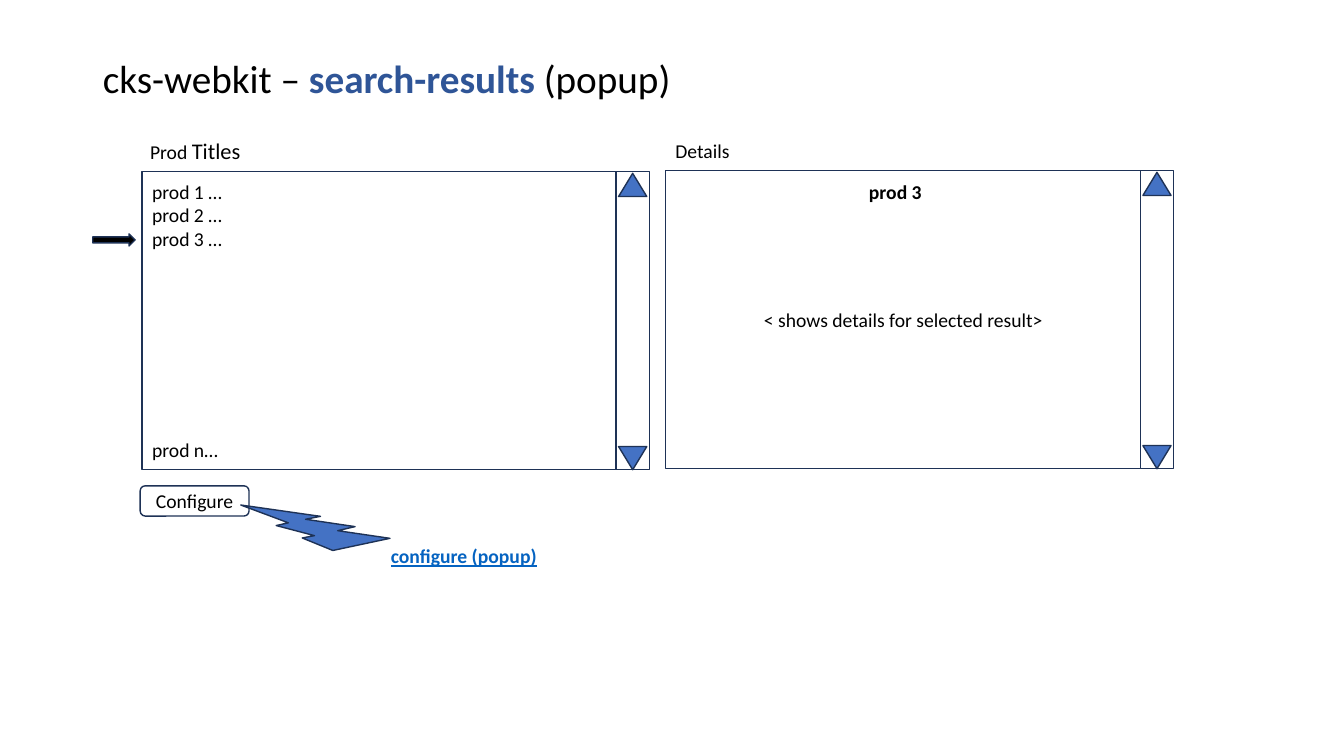
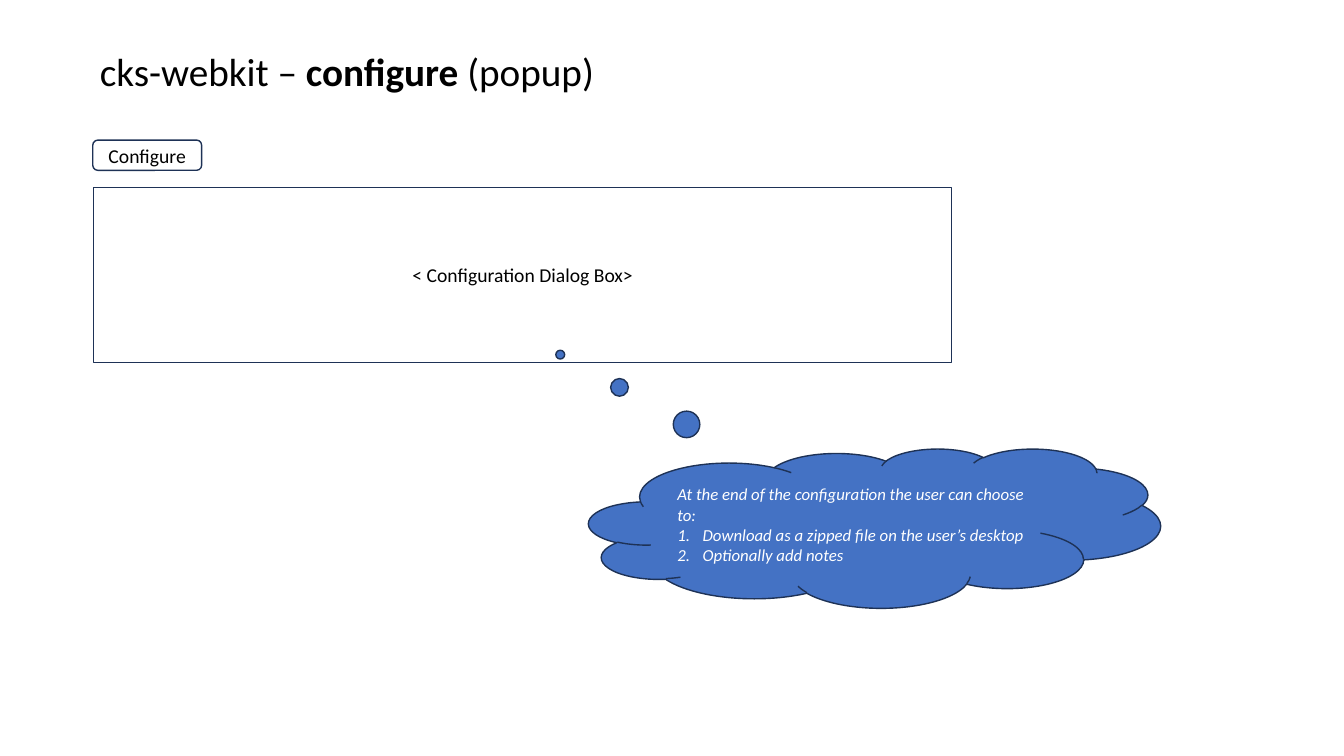
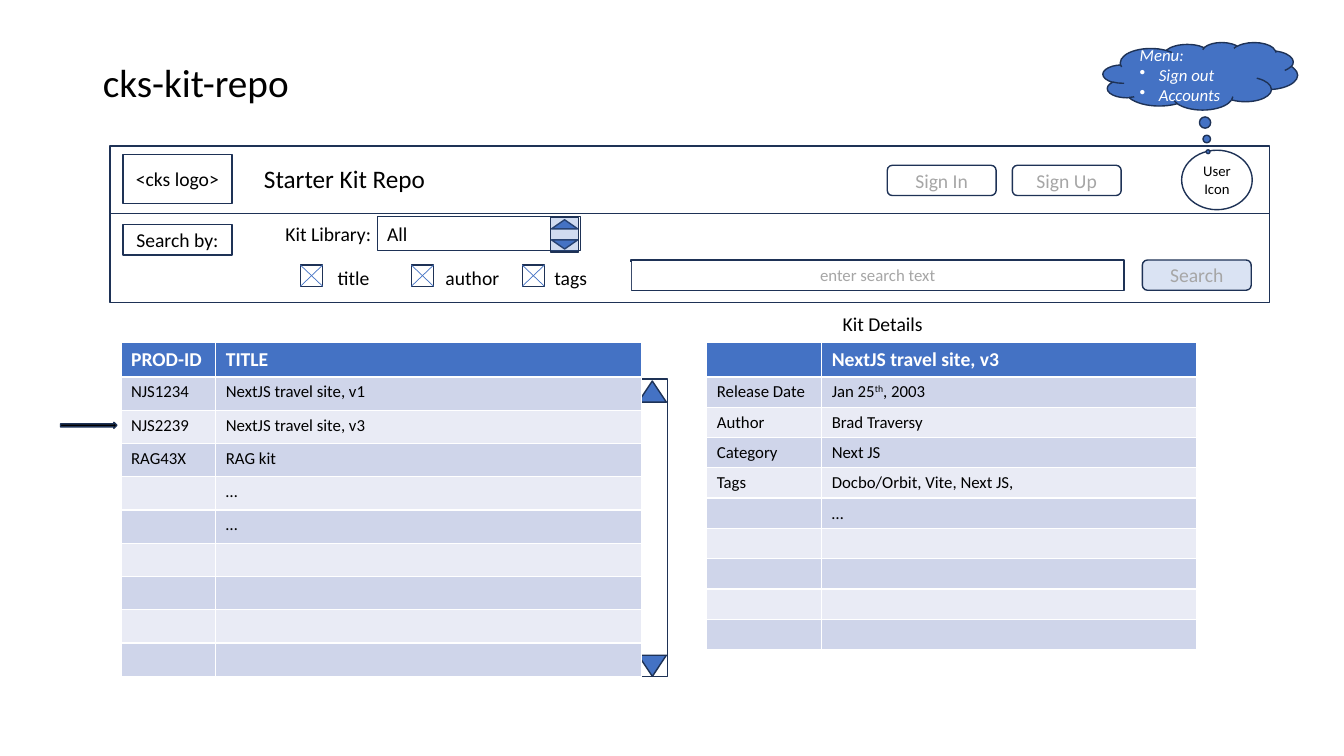
from dataclasses import dataclass

from lxml import etree
from pptx import Presentation
from pptx.dml.color import RGBColor
from pptx.enum.shapes import MSO_CONNECTOR, MSO_SHAPE
from pptx.enum.text import MSO_ANCHOR, MSO_AUTO_SIZE, PP_ALIGN
from pptx.oxml.ns import qn
from pptx.util import Inches, Pt

RECT = MSO_SHAPE.RECTANGLE
ROUND = MSO_SHAPE.ROUNDED_RECTANGLE
OVAL = MSO_SHAPE.OVAL
TRIANGLE = MSO_SHAPE.ISOSCELES_TRIANGLE
ARROW = MSO_SHAPE.RIGHT_ARROW
BOLT = MSO_SHAPE.LIGHTNING_BOLT
CLOUD = MSO_SHAPE.CLOUD_CALLOUT
STRAIGHT = MSO_CONNECTOR.STRAIGHT
LEFT, CENTER, RIGHT = PP_ALIGN.LEFT, PP_ALIGN.CENTER, PP_ALIGN.RIGHT
TOP, MIDDLE = MSO_ANCHOR.TOP, MSO_ANCHOR.MIDDLE

FONT = "Calibri"
TITLE_LAYOUT = 5
COLORS = {
    "white": "FFFFFF",
    "black": "000000",
    "grey": "A6A6A6",
    "navy": "1E3256",
    "blue": "4472C4",
    "pale": "DAE3F3",
    "title": "2F5597",
    "link": "0563C1",
    "band_dark": "CFD5EA",
    "band_light": "E9EBF5",
}


@dataclass(frozen=True)
class Span:
    """A stretch of text that may differ from its paragraph."""
    text: str
    color: str | None = None
    bold: bool | None = None
    size: float | None = None
    superscript: bool = False


@dataclass(frozen=True)
class Style:
    size: float = 14
    color: str = "black"
    bold: bool = False
    italic: bool = False
    underline: bool = False
    align: PP_ALIGN = CENTER


@dataclass(frozen=True)
class Box:
    """A shape with optional text; each paragraph is a string or spans."""
    left: float
    top: float
    width: float
    height: float
    paras: tuple = ()
    kind: MSO_SHAPE = RECT
    fill: str | None = "white"
    line: str | None = "navy"
    line_width: float = 1
    style: Style = Style()
    anchor: MSO_ANCHOR = MIDDLE
    rotation: float = 0
    adjust: tuple[float, ...] = ()


BODY = Style(align=LEFT)
MUTED = Style(color="grey")
THOUGHT = Style(size=12, color="white", italic=True, align=LEFT)


def rgb(name: str) -> RGBColor:
    return RGBColor.from_string(COLORS[name])


# Text
def write_para(para, content, style: Style) -> None:
    para.alignment = style.align
    font = para.font
    font.name, font.size = FONT, Pt(style.size)
    font.bold, font.italic, font.underline = style.bold, style.italic, style.underline
    font.color.rgb = rgb(style.color)
    for span in (Span(content),) if isinstance(content, str) else content:
        run = para.add_run()
        run.text = span.text
        if span.color:
            run.font.color.rgb = rgb(span.color)
        if span.bold is not None:
            run.font.bold = span.bold
        if span.size:
            run.font.size = Pt(span.size)
        if span.superscript:
            run._r.get_or_add_rPr().set("baseline", "30000")


def write_frame(frame, paras: tuple, style: Style, anchor: MSO_ANCHOR) -> None:
    frame.word_wrap = True
    frame.vertical_anchor = anchor
    for number, content in enumerate(paras):
        para = frame.add_paragraph() if number else frame.paragraphs[0]
        write_para(para, content, style)


def set_bullets(paras, indent: float, tag: str, **attributes: str) -> None:
    for para in paras:
        props = para._p.get_or_add_pPr()
        props.set("marL", str(Inches(indent)))
        props.set("indent", str(-Inches(indent)))
        bullet = etree.Element(qn(tag), attributes)
        props.insert_element_before(bullet, "a:tabLst", "a:defRPr", "a:extLst")


# Shapes
def draw_box(shapes, box: Box):
    shape = shapes.add_shape(box.kind, Inches(box.left), Inches(box.top),
                             Inches(box.width), Inches(box.height))
    shape.shadow.inherit = False
    shape.rotation = box.rotation
    for number, value in enumerate(box.adjust):
        shape.adjustments[number] = value
    if box.fill:
        shape.fill.solid()
        shape.fill.fore_color.rgb = rgb(box.fill)
    else:
        shape.fill.background()
    if box.line:
        shape.line.color.rgb = rgb(box.line)
        shape.line.width = Pt(box.line_width)
    else:
        shape.line.fill.background()
    write_frame(shape.text_frame, box.paras, box.style, box.anchor)
    return shape


def draw_label(shapes, left: float, top: float, width: float, content,
               style: Style = BODY) -> None:
    draw_box(shapes, Box(left, top, width, 0.3, (content,), line=None, style=style))


def draw_button(shapes, left: float, top: float, text: str,
                style: Style = Style(), fill: str = "white") -> None:
    draw_box(shapes, Box(left, top, 1.08, 0.3, (text,), ROUND, fill, style=style))


def draw_text(shapes, left: float, top: float, width: float, height: float,
              text: str, style: Style) -> None:
    area = shapes.add_textbox(Inches(left), Inches(top), Inches(width), Inches(height))
    write_frame(area.text_frame, (text,), style, TOP)


def draw_scroll_bar(page, left: float, top: float, width: float, height: float,
                    arrow_height: float) -> None:
    shapes = page.shapes.add_group_shape().shapes
    draw_box(shapes, Box(left, top, width, height))
    arrow_width = 0.28
    arrow_left = left + (width - arrow_width) / 2
    for arrow_top, turn in ((top + 0.02, 0), (top + height - arrow_height, 180)):
        draw_box(shapes, Box(arrow_left, arrow_top, arrow_width, arrow_height,
                             kind=TRIANGLE, fill="blue", rotation=turn))


def draw_check_box(page, left: float, top: float) -> None:
    shapes = page.shapes.add_group_shape().shapes
    width, height = 0.22, 0.21
    draw_box(shapes, Box(left, top, width, height))
    right, bottom = left + width, top + height
    for start, end in ((left, right), (right, left)):
        stroke = shapes.add_connector(STRAIGHT, Inches(start), Inches(top),
                                      Inches(end), Inches(bottom))
        stroke.line.color.rgb = rgb("blue")
        stroke.line.width = Pt(0.5)
        etree.SubElement(stroke._element.spPr, qn("a:effectLst"))


# Tables
def draw_table(page, left: float, top: float, widths: tuple[float, ...],
               row_height: float, rows: tuple) -> None:
    heights = [0.34] + [row_height] * (len(rows) - 1)
    table = page.shapes.add_table(len(rows), len(widths), Inches(left), Inches(top),
                                  Inches(sum(widths)), Inches(sum(heights))).table
    for column, width in zip(table.columns, widths):
        column.width = Inches(width)
    for number, (row, height, contents) in enumerate(zip(table.rows, heights, rows)):
        row.height = Inches(height)
        if number == 0:
            fill, style = "blue", Style(color="white", bold=True, align=LEFT)
        else:
            fill = "band_dark" if number % 2 else "band_light"
            style = Style(size=12, align=LEFT)
        for cell, content in zip(row.cells, contents):
            cell.fill.solid()
            cell.fill.fore_color.rgb = rgb(fill)
            para = cell.text_frame.paragraphs[0]
            write_para(para, content or (), style)
            if not content:
                # Keeps an empty cell as low as a filled one
                etree.SubElement(para._p, qn("a:endParaRPr"), sz=str(style.size * 100))


# Pages
def add_page(deck, left: float, top: float, *spans: Span):
    page = deck.slides.add_slide(deck.slide_layouts[TITLE_LAYOUT])
    title = page.shapes.title
    title.left, title.top = Inches(left), Inches(top)
    title.width, title.height = Inches(11.5), Inches(0.8)
    write_frame(title.text_frame, (spans,), Style(size=28, align=LEFT), MIDDLE)
    title.text_frame.auto_size = MSO_AUTO_SIZE.NONE
    title.text_frame.paragraphs[0].line_spacing = 0.9
    return page


def build_search_results(deck) -> None:
    page = add_page(deck, 0.92, 0.4, Span("cks-webkit – "),
                    Span("search-results", "title", True), Span(" (popup)"))
    shapes = page.shapes

    # Result list
    results = draw_box(shapes, Box(
        1.41, 1.7, 4.72, 2.96, ("prod 1 …", "prod 2 …", "prod 3 …", "prod n…"),
        style=BODY))
    results.text_frame.paragraphs[-1].space_before = Pt(134)
    draw_scroll_bar(page, 6.11, 1.7, 0.33, 2.96, 0.23)
    draw_label(shapes, 1.39, 1.34, 2.34, (Span("Prod "), Span("Titles", size=16)))

    # Details of the selected result
    draw_box(shapes, Box(6.6, 1.69, 4.72, 2.96,
                         ("< shows details for selected result>",)))
    draw_scroll_bar(page, 11.31, 1.69, 0.33, 2.96, 0.23)
    draw_label(shapes, 6.6, 1.34, 1.78, "Details")
    draw_box(shapes, Box(0.92, 2.32, 0.42, 0.12, kind=ARROW, fill="black"))
    draw_label(shapes, 7.99, 1.75, 1.78, "prod 3", Style(bold=True))

    # Way to the next popup
    draw_button(shapes, 1.39, 4.82, "Configure")
    draw_box(shapes, Box(2.4, 4.97, 1.46, 0.5, kind=BOLT, fill="blue", rotation=176.9))
    draw_text(shapes, 3.43, 5.35, 2.34, 0.34, "configure (popup)",
              Style(color="link", bold=True, underline=True))


def build_configure(deck) -> None:
    page = add_page(deck, 0.89, 0.33, Span("cks-webkit – "),
                    Span("configure", bold=True), Span(" (popup)"))
    shapes = page.shapes
    draw_button(shapes, 0.92, 1.39, "Configure")
    draw_box(shapes, Box(0.93, 1.86, 8.51, 1.74, ("< Configuration Dialog Box>",)))
    cloud = draw_box(shapes, Box(
        5.84, 4.45, 5.67, 1.58,
        ("At the end of the configuration the user can choose to:",
         "Download as a zipped file on the user’s desktop",
         "Optionally add notes"),
        CLOUD, "blue", style=THOUGHT, adjust=(-0.55, -1.09)))
    set_bullets(cloud.text_frame.paragraphs[1:], 0.25, "a:buAutoNum",
                type="arabicPeriod")


def build_kit_repo(deck) -> None:
    page = add_page(deck, 0.92, 0.44, Span("cks-kit-repo"))
    shapes = page.shapes

    # Header and search bands
    draw_box(shapes, Box(1.09, 1.45, 11.5, 0.67))
    draw_box(shapes, Box(1.22, 1.53, 1.08, 0.49, ("<cks logo>",)))
    draw_button(shapes, 8.8, 1.64, "Sign In", MUTED)
    draw_button(shapes, 10.04, 1.64, "Sign Up", MUTED)
    draw_box(shapes, Box(1.09, 2.12, 11.5, 0.88))
    draw_box(shapes, Box(1.22, 2.23, 1.08, 0.3, ("Search by:",)))
    draw_box(shapes, Box(6.26, 2.58, 4.89, 0.3, ("enter search text",),
                         style=Style(size=12, color="grey")))
    draw_button(shapes, 11.33, 2.58, "Search", MUTED, "pale")
    draw_text(shapes, 2.52, 1.57, 1.9, 0.4, "Starter Kit Repo",
              Style(size=18, align=LEFT))

    # User menu
    draw_box(shapes, Box(11.72, 1.49, 0.7, 0.59, ("User", "Icon"), OVAL,
                         style=Style(size=10.5)))
    menu = draw_box(shapes, Box(10.94, 0.42, 1.93, 0.67,
                                ("Menu:", "Sign out", "Accounts"), CLOUD, "blue",
                                style=THOUGHT, adjust=(0.04, 1.12)))
    set_bullets(menu.text_frame.paragraphs[1:], 0.19, "a:buChar", char="•")

    # Library chooser
    draw_text(shapes, 2.24, 2.15, 1.54, 0.34, "Kit Library:", Style(align=RIGHT))
    draw_box(shapes, Box(3.74, 2.15, 2.02, 0.34, ("All",), fill=None,
                         line_width=0.75, style=BODY, anchor=TOP))
    for top, turn in ((2.18, 0), (2.38, 180)):
        draw_box(shapes, Box(5.47, top, 0.26, 0.09, kind=TRIANGLE, fill="blue",
                             rotation=turn))
    spinner = draw_box(shapes, Box(5.46, 2.16, 0.28, 0.34, fill="blue"))
    tint = spinner._element.spPr.find(qn("a:solidFill"))[0]
    etree.SubElement(tint, qn("a:alpha"), val="25000")

    # Search fields
    fields = (("title", 3.25, 0.62), ("author", 4.32, 0.86), ("tags", 5.4, 0.86))
    for number, (name, left, width) in enumerate(fields):
        draw_label(shapes, left, 2.6, width, name)
        draw_check_box(page, 2.98 + 1.1 * number, 2.63)

    # Kits found
    draw_scroll_bar(page, 6.32, 3.76, 0.3, 2.95, 0.21)
    draw_table(page, 1.2, 3.4, (0.94, 4.22), 0.33, (
        ("PROD-ID", "TITLE"),
        ("NJS1234", "NextJS travel site, v1"),
        ("NJS2239", "NextJS travel site, v3"),
        ("RAG43X", "RAG kit"),
        *[("", "…")] * 2,
        *[("", "")] * 4,
    ))
    draw_box(shapes, Box(0.6, 4.19, 0.56, 0.06, kind=ARROW, fill="black"))

    # Details of the selected kit
    draw_label(shapes, 8.26, 3.06, 1.78, "Kit Details")
    draw_table(page, 7.01, 3.4, (1.14, 3.72), 0.3, (
        ("", "NextJS travel site, v3"),
        ("Release Date", (Span("Jan 25"), Span("th", superscript=True), Span(", 2003"))),
        ("Author", "Brad Traversy"),
        ("Category", "Next JS"),
        ("Tags", "Docbo/Orbit, Vite, Next JS,"),
        ("", "…"),
        *[("", "")] * 4,
    ))


def main() -> None:
    deck = Presentation()
    deck.slide_width, deck.slide_height = Inches(13.33), Inches(7.5)
    build_search_results(deck)
    build_configure(deck)
    build_kit_repo(deck)
    deck.save("out.pptx")


if __name__ == "__main__":
    main()
